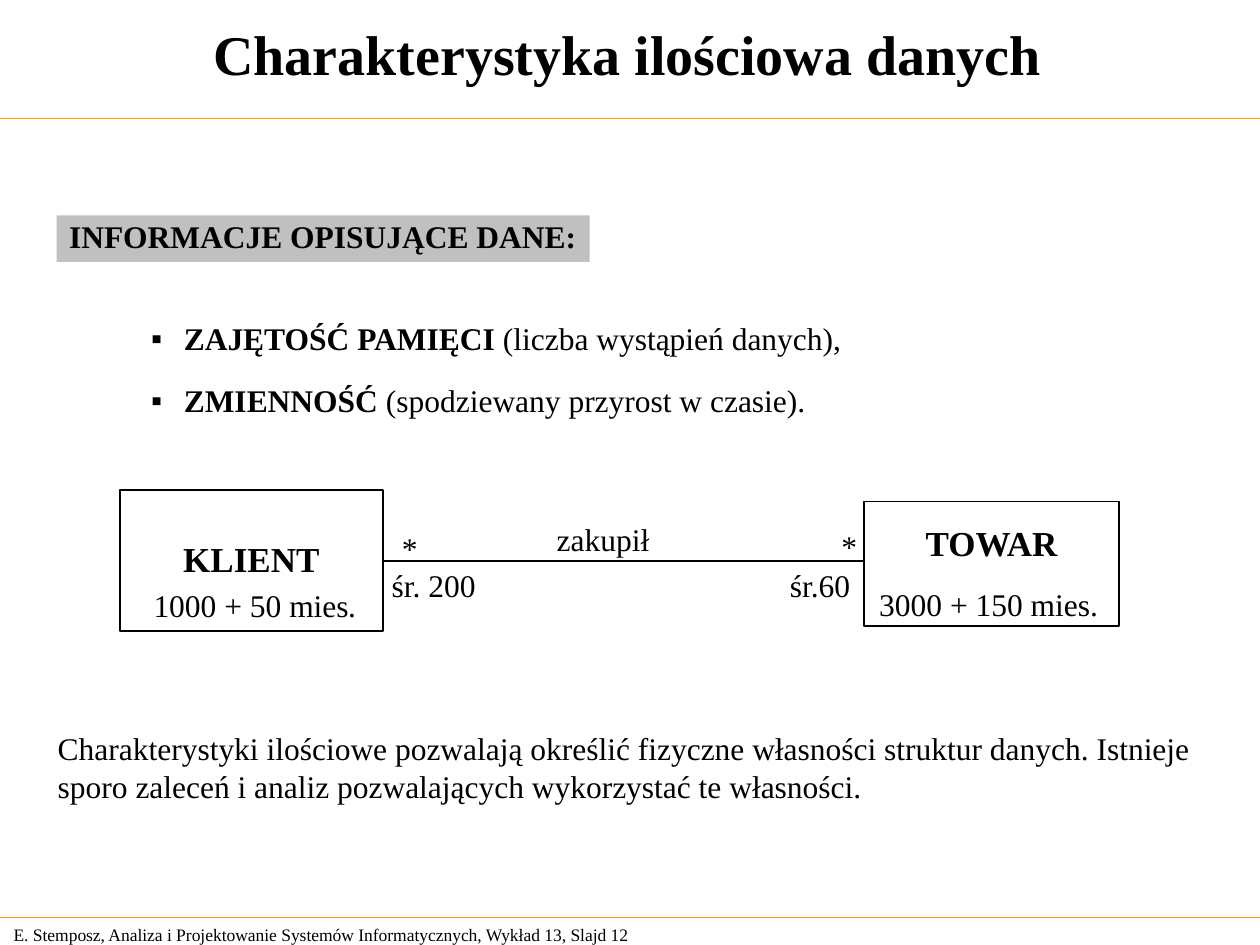
from lxml.etree import SubElement
from pptx import Presentation
from pptx.dml.color import RGBColor
from pptx.enum.shapes import MSO_CONNECTOR, MSO_SHAPE
from pptx.enum.text import MSO_ANCHOR, MSO_AUTO_SIZE, PP_ALIGN
from pptx.oxml.ns import qn
from pptx.util import Inches, Pt

BLACK = RGBColor(0, 0, 0)
GREY = RGBColor(0xC0, 0xC0, 0xC0)
AMBER = RGBColor(0xFF, 0x99, 0x00)
FONT = "Times New Roman"
CELL = Inches(0.1)
COLS, ROWS = 100, 75


def grid(*cells):
    """Turn grid columns and rows into lengths."""
    return [round(n * CELL) for n in cells]


def style(par, size, bold=False):
    """Format every run of a paragraph."""
    for run in par.runs:
        font = run.font
        font.name, font.size, font.bold = FONT, Pt(size), bold
        font.color.rgb = BLACK


def fill_text(shape, text, size=18, bold=False, align=PP_ALIGN.LEFT,
              anchor=MSO_ANCHOR.TOP, wrap=False):
    """Write one styled paragraph into a shape and return it."""
    frame = shape.text_frame
    frame.text = text
    frame.word_wrap = wrap
    frame.vertical_anchor = anchor
    par = frame.paragraphs[0]
    par.alignment = align
    style(par, size, bold)
    return par


def add_text(slide, box, text, **look):
    """Add a text box on the grid and return its paragraph."""
    shape = slide.shapes.add_textbox(*grid(*box))
    par = fill_text(shape, text, **look)
    shape.text_frame.auto_size = MSO_AUTO_SIZE.NONE
    return par


def add_rect(slide, box, fill=None, line=None):
    """Add a plain rectangle on the grid."""
    rect = slide.shapes.add_shape(MSO_SHAPE.RECTANGLE, *grid(*box))
    rect.shadow.inherit = False
    for part, color in ((rect.fill, fill), (rect.line.fill, line)):
        if color is None:
            part.background()
        else:
            part.solid()
            part.fore_color.rgb = color
    if line is not None:
        rect.line.width = Pt(1)
    return rect


def add_rule(slide, left, top, width, color, weight):
    """Draw a level line on the grid."""
    rule = slide.shapes.add_connector(
        MSO_CONNECTOR.STRAIGHT, *grid(left, top, left + width, top))
    rule.line.color.rgb = color
    rule.line.width = Pt(weight)
    SubElement(rule._element.spPr, qn("a:effectLst"))


def add_head(slide, box):
    """Place the title with its rule below."""
    left, top, width, height = box
    add_text(slide, (left, top, width - 0.4, height - 0.9),
             "Charakterystyka ilościowa danych", size=32, bold=True,
             align=PP_ALIGN.CENTER, anchor=MSO_ANCHOR.MIDDLE, wrap=True)
    add_rule(slide, left, top + height, width, AMBER, 0.75)


def add_foot(slide, box):
    """Place the footer with its rule above."""
    left, top, width, height = box
    add_rule(slide, left, top, width, AMBER, 0.75)
    add_text(slide, (left + 0.1, top, 52.4, height),
             "E. Stemposz, Analiza i Projektowanie Systemów "
             "Informatycznych, Wykład 13, Slajd 12",
             size=10, anchor=MSO_ANCHOR.MIDDLE, wrap=True)


def add_list(slide, box):
    """Place the grey label and the bullets under it."""
    left, top, width, height = box
    label = add_rect(slide, (left + 1.1, top, 42.3, 3.7), fill=GREY)
    par = fill_text(label, "INFORMACJE OPISUJĄCE DANE:", bold=True)
    par.line_spacing = 0.9
    items = (("ZAJĘTOŚĆ PAMIĘCI ", "(liczba wystąpień danych),"),
             ("ZMIENNOŚĆ ", "(spodziewany przyrost w czasie)."))
    body = slide.shapes.add_textbox(
        *grid(left, top + 8.1, width, height - 8.1))
    frame = body.text_frame
    frame.word_wrap = True
    for num, (term, note) in enumerate(items):
        par = frame.add_paragraph() if num else frame.paragraphs[0]
        props = par._p.get_or_add_pPr()
        props.set("marL", str(Inches(1.02)))
        props.set("indent", str(-Inches(0.26)))
        SubElement(props, qn("a:buFont"), typeface=FONT)
        SubElement(props, qn("a:buChar"), char="▪")
        par.line_spacing = 0.9
        if num:
            par.space_before = Pt(16)
        for text in (term, note):
            par.add_run().text = text
        style(par, 18)
        par.runs[0].font.bold = True


def add_class(slide, box, name, count, spot, lift=0):
    """Draw a class box with its name and its size."""
    rect = add_rect(slide, box, line=BLACK)
    par = fill_text(rect, name, size=20, bold=True, align=PP_ALIGN.CENTER,
                    anchor=MSO_ANCHOR.MIDDLE)
    par.line_spacing = 0.9
    rect.text_frame.margin_bottom = Inches(0.05 + lift)
    return add_text(slide, spot, count)


def add_model(slide, box):
    """Place both classes and the link between them."""
    left, top, width, height = box
    right = left + width
    par = add_class(slide, (left, top, 20.9, height), "KLIENT",
                    "1000 + 50 mies", (left + 1.7, top + 7.1, 18.1, 4))
    par.add_run().text = "."
    style(par, 18)
    par.runs[1].font.italic = True
    add_class(slide, (right - 20.2, top + 0.9, 20.2, 9.9), "TOWAR",
              "3000 + 150 mies.", (right - 20, top + 7, 19.4, 4), 0.3)
    add_rule(slide, left + 21, top + 5.6, width - 41.2, BLACK, 1)
    labels = (("zakupił", 33.7, 1.9, 9.3), ("*", 21.4, 2.6, 3.2),
              ("*", 56.3, 2.4, 3.2), ("śr. 200", 20.6, 5.5, 8.8),
              ("śr.60", 52.2, 5.5, 6.9))
    for text, col, row, span in labels:
        add_text(slide, (left + col, top + row, span, 4), text)


def add_note(slide, box):
    """Place the closing remark."""
    add_text(slide, box,
             "Charakterystyki ilościowe pozwalają określić fizyczne "
             "własności struktur danych. Istnieje sporo zaleceń i analiz "
             "pozwalających wykorzystać te własności.", wrap=True)


def main():
    """Build the slide and save it."""
    deck = Presentation()
    deck.slide_width, deck.slide_height = grid(COLS, ROWS)
    slide = deck.slides.add_slide(deck.slide_layouts[6])
    add_head(slide, (0, 0, COLS, 9.4))
    add_list(slide, (3.4, 17.1, 72.8, 18.5))
    add_model(slide, (9.5, 38.9, 79.3, 11.2))
    add_note(slide, (3.6, 57.4, 92.9, 7))
    add_foot(slide, (0, 72.8, COLS, 2.7))
    deck.save("out.pptx")


if __name__ == "__main__":
    main()
